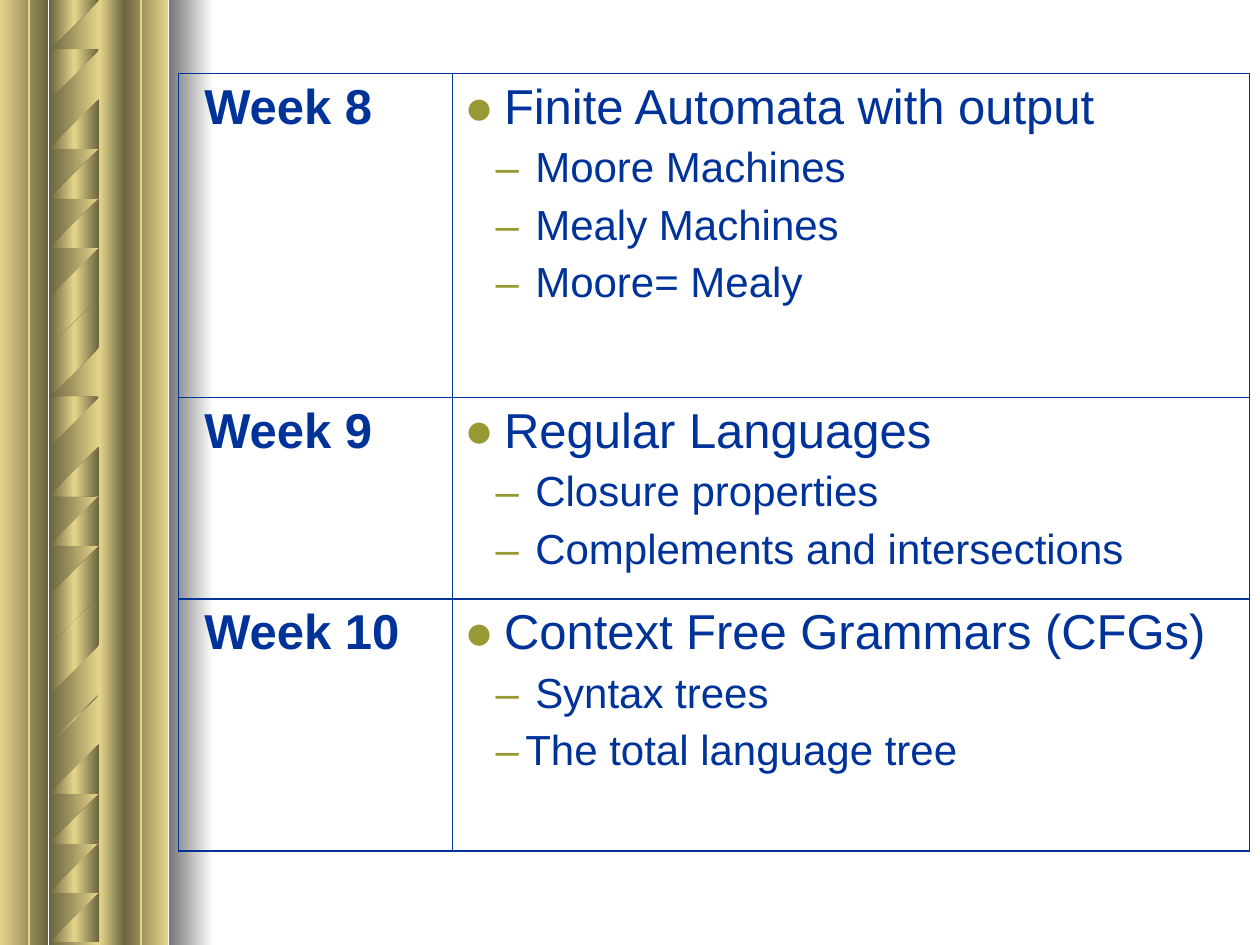
"""Build the course outline slide for weeks 8 to 10 beside a gold rope column."""
from copy import deepcopy

from lxml.etree import SubElement
from pptx import Presentation
from pptx.dml.color import RGBColor
from pptx.enum.shapes import MSO_CONNECTOR, MSO_SHAPE
from pptx.oxml import parse_xml
from pptx.oxml.ns import nsdecls, qn
from pptx.util import Cm, Pt


def rgb(code):
    return RGBColor.from_string(code)


def paint(shape, *hues):
    shape.shadow.inherit = False
    shape.line.fill.background()
    shape.fill.gradient()
    shape.fill.gradient_angle = 0
    stops = shape.fill.gradient_stops
    if len(hues) == 3:
        first = stops[0]._gs
        first.addnext(deepcopy(first))
        stops = shape.fill.gradient_stops
    for i, (stop, hue) in enumerate(zip(stops, hues)):
        stop.position = i / (len(hues) - 1)
        stop.color.rgb = rgb(hue)


GOLD, DARK, BLUE, OLIVE = "E5D58A", "6A6340", "003399", "999933"

deck = Presentation()
deck.slide_width, deck.slide_height = Cm(25.4), Cm(19.05)
slide = deck.slides.add_slide(deck.slide_layouts[6])
shapes = slide.shapes

rails = [
    (2.01, 0.5, GOLD, DARK),
    (0, 0.97, GOLD, DARK),
    (0.99, 1.02, DARK, GOLD),
    (2.49, 0.9, DARK, GOLD),
]
strand = [
    (2.49, 0), (2.49, 0.84), (2.46, 0.81), (2.36, 0.81), (2.31, 0.84),
    (2.24, 0.91), (2.06, 1.14), (1.63, 1.6), (1.19, 2.08), (1.12, 2.21),
    (1.04, 2.36), (1.02, 2.57), (0.99, 2.84), (0.99, 1.6), (0.99, 1.73),
    (1.02, 1.78), (1.07, 1.8), (1.12, 1.8), (1.17, 1.8), (1.24, 1.78),
    (2.11, 0.84), (2.29, 0.61), (2.36, 0.48), (2.41, 0.36), (2.46, 0.15),
]
halves = [
    (9.47, [11.63, 12.83, 13.95, 15.09, 16.21, 17.35, 10.44, 9.17]),
    (0, [2.18, 3.33, 4.45, 5.59, 6.71, 18.42, 0.94, -0.33, -1.57, 7.92]),
]
for low, tops in halves:
    for left, width, start, end in rails:
        rail = shapes.add_shape(
            MSO_SHAPE.RECTANGLE, Cm(left), Cm(low), Cm(width), Cm(9.58))
        paint(rail, start, end)
    for top in tops:
        points = [(x, y + top) for x, y in strand]
        for edge, sign in ((low, 1), (19.05, -1)):
            cut = []
            for (ax, ay), (bx, by) in zip(points, points[1:] + points[:1]):
                if sign * (ay - edge) >= 0:
                    cut.append((ax, ay))
                if (ay - edge) * (by - edge) < 0:
                    cut.append((ax + (bx - ax) * (edge - ay) / (by - ay), edge))
            points = cut
        pen = shapes.build_freeform(*points[0], scale=Cm(1))
        pen.add_line_segments(points[1:])
        paint(pen.convert_to_shape(), DARK, GOLD, DARK)

shade = shapes.add_shape(
    MSO_SHAPE.RECTANGLE, Cm(3.4), 0, Cm(0.91), deck.slide_height)
paint(shade, "767676", "FFFFFF")
for left in (0.58, 2.84):
    groove = shapes.add_connector(
        MSO_CONNECTOR.STRAIGHT, Cm(left), 0, Cm(left), deck.slide_height)
    groove.line.color.rgb = rgb(GOLD)
    groove.line.width = Pt(1)
    SubElement(groove._element.spPr, qn("a:effectLst"))

weeks = [
    ("Week 8", 6.53, ["Finite Automata with output", "Moore Machines",
                      "Mealy Machines", "Moore= Mealy"]),
    ("Week 9", 4.06, ["Regular Languages", "Closure properties",
                      "Complements and intersections"]),
    ("Week 10", 5.08, ["Context Free Grammars (CFGs)", "Syntax trees",
                       "The total language tree"]),
]
frame = shapes.add_table(3, 2, Cm(3.6), Cm(1.48), Cm(21.59), Cm(15.67))
table = frame.table
table.first_row = table.horz_banding = False
table.columns[0].width, table.columns[1].width = Cm(5.51), Cm(16.08)

for row, (week, height, topics) in enumerate(weeks):
    table.rows[row].height = Cm(height)
    for col, lines in enumerate(([week], topics)):
        cell = table.cell(row, col)
        cell.fill.background()
        cell.margin_left = Cm(0.25 if col else 0.52)
        cell.margin_right = Cm(0.25)
        cell.margin_top = cell.margin_bottom = Cm(0.13)
        sides = (("L", 0.45 if col else 1.08), ("R", 1.08 if col else 0.45),
                 ("T", 1.08), ("B", 1.08))
        for spot, (side, size) in enumerate(sides):
            border = parse_xml(
                f'<a:ln{side} {nsdecls("a")} w="{Pt(size)}"><a:solidFill>'
                f'<a:srgbClr val="{BLUE}"/></a:solidFill></a:ln{side}>')
            cell._tc.tcPr.insert(spot, border)

        cell.text_frame.text = "\n".join(lines)
        for i, para in enumerate(cell.text_frame.paragraphs):
            if col:
                props = para._p.get_or_add_pPr()
                hang = 0.6 if para.text == "The total language tree" else 0.8
                inset = hang + (0.63 if i else 0)
                props.set("marL", str(Cm(inset)))
                props.set("indent", str(-Cm(hang)))
                tint = SubElement(props, qn("a:buClr"))
                SubElement(tint, qn("a:srgbClr"), val=OLIVE)
                SubElement(props, qn("a:buFont"), typeface="Arial")
                SubElement(props, qn("a:buChar"), char="–" if i else "●")
            if i:
                para.level = 1
                para.space_before = Pt(6)
            font = para.runs[0].font
            font.name = "Arial"
            font.size = Pt(24 if i else 28)
            font.bold = not col
            font.color.rgb = rgb(BLUE)

deck.save("out.pptx")
